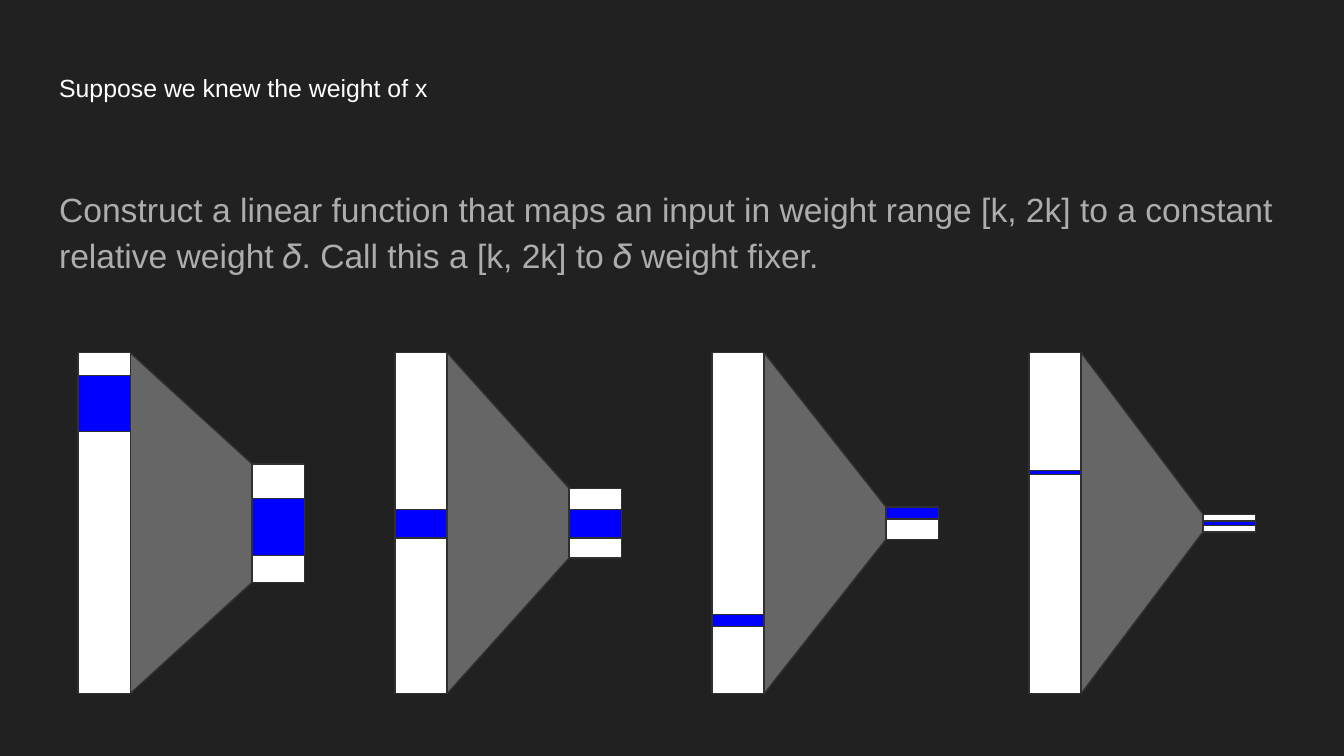
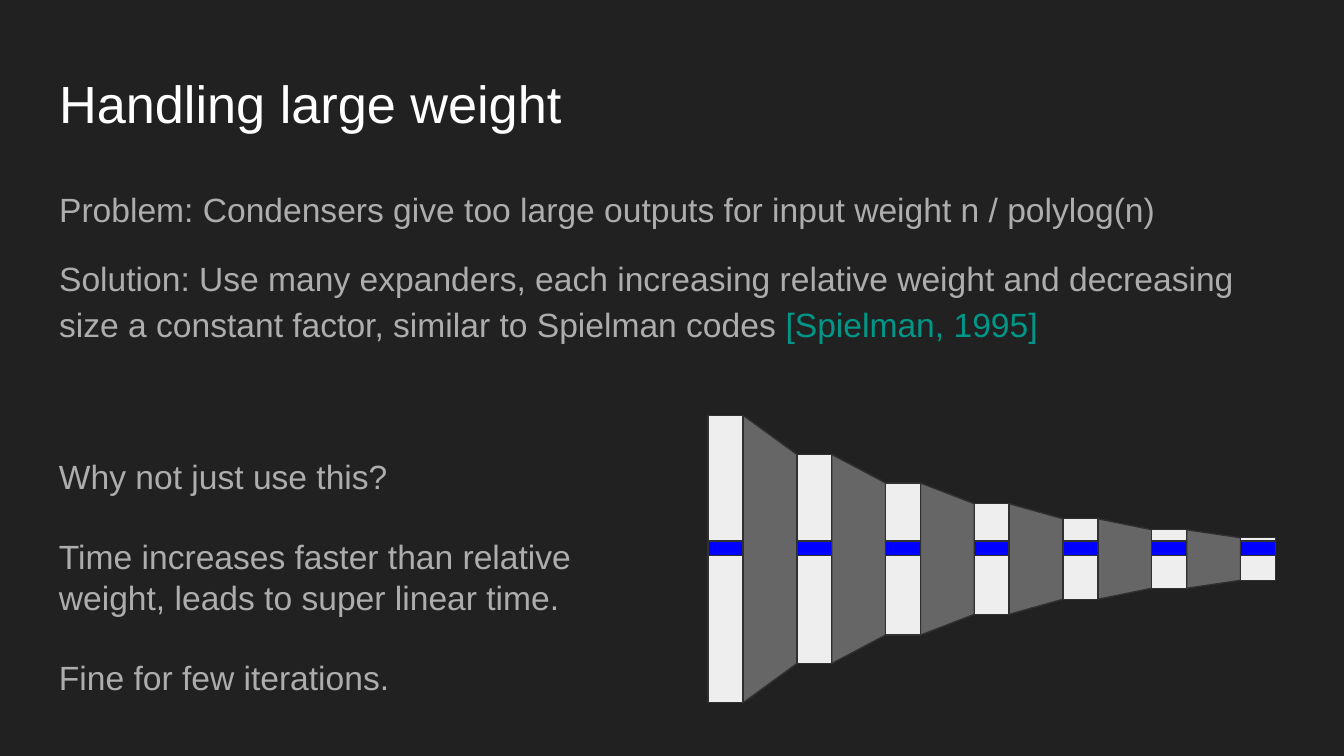
from lxml.etree import SubElement
from pptx import Presentation
from pptx.dml.color import RGBColor
from pptx.enum.shapes import MSO_SHAPE as Preset
from pptx.enum.text import MSO_ANCHOR as Anchor, MSO_AUTO_SIZE as AutoSize, PP_ALIGN as Align
from pptx.oxml.ns import qn
from pptx.util import Pt

BACKGROUND = RGBColor(0x21, 0x21, 0x21)
TITLE_COLOR = RGBColor(0xFF, 0xFF, 0xFF)
BODY_COLOR = RGBColor(0xAD, 0xAD, 0xAD)
CITATION_COLOR = RGBColor(0x00, 0x96, 0x88)
OUTLINE = RGBColor(0x30, 0x30, 0x30)
FUNNEL_FILL = RGBColor(0x66, 0x66, 0x66)
STRIPE_FILL = RGBColor(0x00, 0x00, 0xFF)
VECTOR_FILL = RGBColor(0xFF, 0xFF, 0xFF)
PALE_VECTOR_FILL = RGBColor(0xEE, 0xEE, 0xEE)

FONT = "Arial"
LEFT, TEXT_WIDTH = 24.5, 671
INSET = 7.2

FIXER_CENTER = 280.3
FIXER_LEFT, FIXER_PITCH, FIXER_OUTPUT_OFFSET = 41.8, 169.8, 93.3
FIXER_BAR_WIDTH, FIXER_INPUT_HEIGHT = 28, 182.6
FIXERS = [
    # (output height, stripe height, input stripe top, output stripe top)
    (63.4, 30.3, 201, 267.2),
    (37.4, 15.2, 273, 273),
    (17.3, 6.5, 329.2, 271.6),
    (9.4, 2.2, 252, 279.2),
]

CHAIN_LEFT, CHAIN_PITCH, CHAIN_CENTER = 379.4, 47.52, 299.5
CHAIN_BAR_WIDTH, CHAIN_HEIGHT, CHAIN_RATIO, CHAIN_COUNT = 18.7, 154, 0.7275, 7
CHAIN_STRIPE_TOP, CHAIN_STRIPE_HEIGHT = 289.8, 7.9


def prepare_frame(shape, left, top, width, height):
    """Place a text shape and return its top-anchored, wrapping text frame."""
    shape.left, shape.top, shape.width, shape.height = map(Pt, (left, top, width, height))
    frame = shape.text_frame
    frame.word_wrap = True
    frame.auto_size = AutoSize.NONE
    frame.vertical_anchor = Anchor.TOP
    frame.margin_left = frame.margin_right = Pt(INSET)
    frame.margin_top = frame.margin_bottom = Pt(INSET)
    return frame


def write_paragraphs(frame, paragraphs, size, color, line_spacing, gap=0):
    """Write unbulleted paragraphs, each a list of (text, own color or None) runs."""
    for index, runs in enumerate(paragraphs):
        paragraph = frame.add_paragraph() if index else frame.paragraphs[0]
        properties = paragraph._p.get_or_add_pPr()
        properties.set("marL", "0")
        properties.set("indent", "0")
        SubElement(properties, qn("a:buNone"))
        paragraph.alignment = Align.LEFT
        paragraph.line_spacing = line_spacing
        paragraph.space_before = Pt(gap if index else 0)
        paragraph.space_after = Pt(0)
        paragraph.font.name = FONT
        paragraph.font.size = Pt(size)
        paragraph.font.color.rgb = color
        for text, own_color in runs:
            run = paragraph.add_run()
            run.text = text
            if own_color is not None:
                run.font.color.rgb = own_color


def add_text_slide(presentation, title, title_size, title_spacing, body, body_height):
    """Add a slide with its title and body text."""
    slide = presentation.slides.add_slide(presentation.slide_layouts[1])
    title_frame = prepare_frame(slide.shapes.title, LEFT, 35, TEXT_WIDTH, 45.1)
    write_paragraphs(title_frame, [[(title, None)]], title_size, TITLE_COLOR, title_spacing)
    body_frame = prepare_frame(slide.placeholders[1], LEFT, 90.7, TEXT_WIDTH, body_height)
    write_paragraphs(body_frame, body, 18, BODY_COLOR, 1.15, gap=12)
    return slide


def add_outlined(slide, preset, left, top, width, height, fill):
    """Add a preset shape with the shared thin outline."""
    shape = slide.shapes.add_shape(preset, Pt(left), Pt(top), Pt(width), Pt(height))
    shape.shadow.inherit = False
    shape.fill.solid()
    shape.fill.fore_color.rgb = fill
    shape.line.color.rgb = OUTLINE
    shape.line.width = Pt(0.75)
    return shape


def add_vector(slide, left, center, width, height, fill, stripe_top, stripe_height):
    """Add a vertically centered bar with a blue stripe of weight."""
    add_outlined(slide, Preset.RECTANGLE, left, center - height / 2, width, height, fill)
    add_outlined(slide, Preset.RECTANGLE, left, stripe_top, width, stripe_height, STRIPE_FILL)


def add_funnel(slide, left, right, center, left_height, right_height):
    """Add a trapezoid that narrows from one bar to the next."""
    length = right - left
    middle = (left + right) / 2
    funnel = add_outlined(slide, Preset.TRAPEZOID, middle - left_height / 2,
                          center - length / 2, left_height, length, FUNNEL_FILL)
    funnel.adjustments[0] = (left_height - right_height) / 2 / length
    funnel.rotation = 90


def add_weight_fixers(slide):
    """Add the row of weight fixers for shrinking input weights."""
    for index, (output_height, stripe_height, input_top, output_top) in enumerate(FIXERS):
        left = FIXER_LEFT + index * FIXER_PITCH
        output_left = left + FIXER_OUTPUT_OFFSET
        add_funnel(slide, left + FIXER_BAR_WIDTH, output_left, FIXER_CENTER,
                   FIXER_INPUT_HEIGHT, output_height)
        add_vector(slide, left, FIXER_CENTER, FIXER_BAR_WIDTH, FIXER_INPUT_HEIGHT,
                   VECTOR_FILL, input_top, stripe_height)
        add_vector(slide, output_left, FIXER_CENTER, FIXER_BAR_WIDTH, output_height,
                   VECTOR_FILL, output_top, stripe_height)


def add_expander_chain(slide):
    """Add bars that shrink by a constant factor, joined by funnels."""
    for index in range(CHAIN_COUNT):
        left = CHAIN_LEFT + index * CHAIN_PITCH
        height = CHAIN_HEIGHT * CHAIN_RATIO ** index
        if index < CHAIN_COUNT - 1:
            add_funnel(slide, left + CHAIN_BAR_WIDTH, left + CHAIN_PITCH, CHAIN_CENTER,
                       height, height * CHAIN_RATIO)
        add_vector(slide, left, CHAIN_CENTER, CHAIN_BAR_WIDTH, height,
                   PALE_VECTOR_FILL, CHAIN_STRIPE_TOP, CHAIN_STRIPE_HEIGHT)


def add_remarks(slide, remarks):
    """Add the box of separate remarks beside the chain."""
    box = slide.shapes.add_textbox(0, 0, 0, 0)
    frame = prepare_frame(box, LEFT, 236.9, 303.8, 154)
    write_paragraphs(frame, [[(remark, None)] for remark in remarks], 18, BODY_COLOR, 1, gap=21.6)


def main():
    """Build and save the two slides."""
    presentation = Presentation()
    presentation.slide_width, presentation.slide_height = Pt(720), Pt(405)
    background = presentation.slide_master.background.fill
    background.solid()
    background.fore_color.rgb = BACKGROUND

    known_weight = add_text_slide(
        presentation, "Suppose we knew the weight of x", 13.3, 0.8,
        [[("Construct a linear function that maps an input in weight range [k, 2k] to a "
           "constant relative weight 𝛿. Call this a [k, 2k] to 𝛿 weight fixer.", None)]],
        67.7)
    add_weight_fixers(known_weight)

    large_weight = add_text_slide(
        presentation, "Handling large weight", 28, 0.9,
        [[("Problem: Condensers give too large outputs for input weight n / polylog(n)", None)],
         [("Solution: Use many expanders, each increasing relative weight and decreasing size "
           "a constant factor, similar to Spielman codes ", None),
          ("[Spielman, 1995]", CITATION_COLOR)]],
        135.4)
    add_expander_chain(large_weight)
    add_remarks(large_weight, [
        "Why not just use this?",
        "Time increases faster than relative weight, leads to super linear time.",
        "Fine for few iterations.",
    ])
    presentation.save("out.pptx")


if __name__ == "__main__":
    main()
